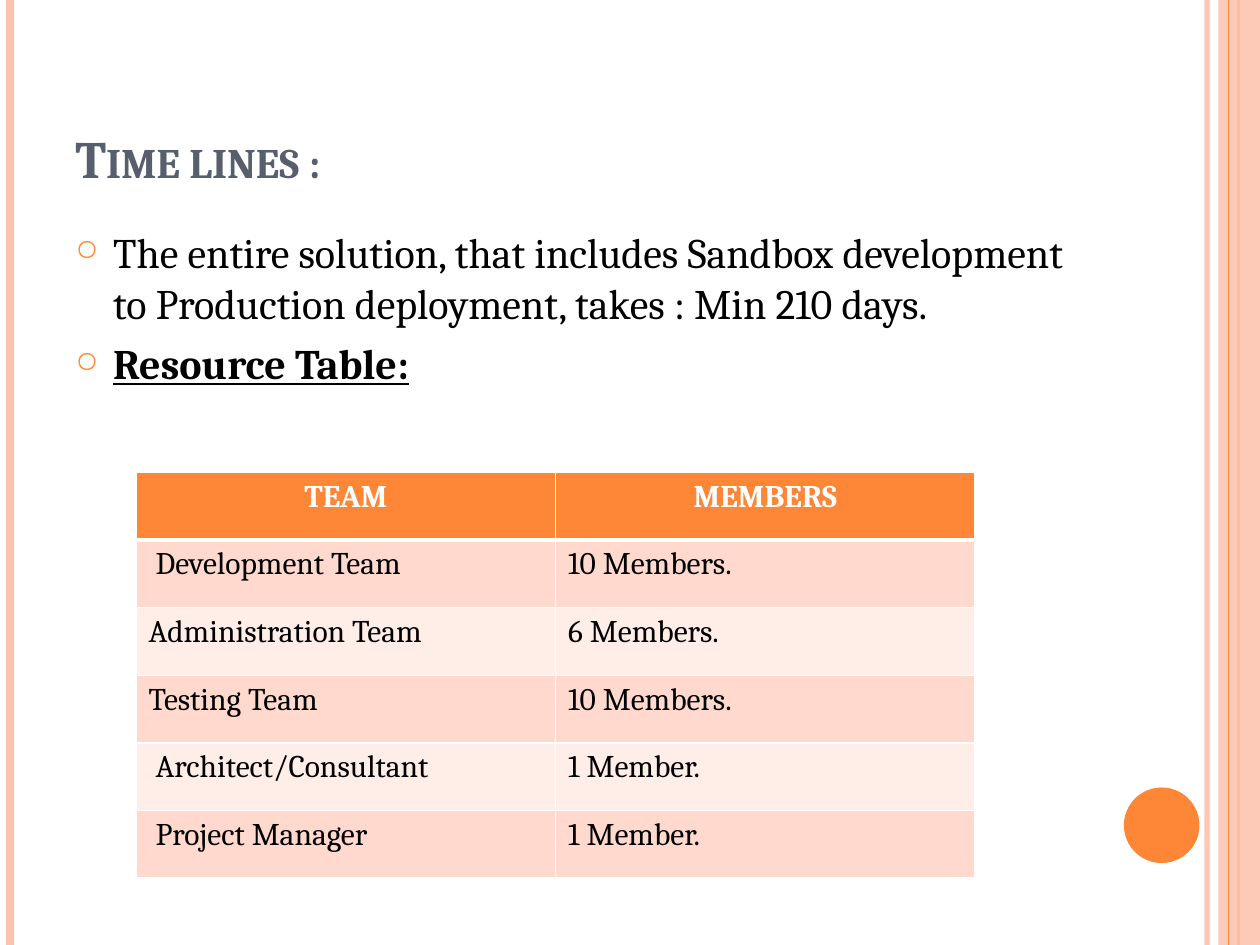
"""Build the time lines slide with its resource table."""
import pptx
import pptx.util
import pptx.dml.color
import pptx.enum.shapes
import pptx.enum.text
import pptx.oxml
import pptx.oxml.ns

Inches, Pt, RGBColor = pptx.util.Inches, pptx.util.Pt, pptx.dml.color.RGBColor
SHAPE = pptx.enum.shapes.MSO_SHAPE
ALIGN = pptx.enum.text.PP_ALIGN
ANCHOR = pptx.enum.text.MSO_ANCHOR

ORANGE = RGBColor(0xFE, 0x86, 0x37)
PEACH = RGBColor(0xFE, 0xC3, 0xAE)
SLATE = RGBColor(0x57, 0x5F, 0x6D)
BLACK = RGBColor(0, 0, 0)
WHITE = RGBColor(0xFF, 0xFF, 0xFF)
ROW_FILLS = (RGBColor(0xFF, 0xD9, 0xCE), RGBColor(0xFF, 0xED, 0xE8))

WIDTH, HEIGHT = 10, 7.5
TITLE = "Time lines :"
BULLETS = [
    ("The entire solution, that includes Sandbox development "
     "to Production deployment, takes : Min 210 days.", {}),
    ("Resource Table:", {"bold": True, "underline": True}),
]
TEAMS = [
    ("TEAM", "MEMBERS"),
    (" Development Team", "10 Members."),
    ("Administration Team", "6 Members."),
    ("Testing Team", "10 Members."),
    (" Architect/Consultant", "1 Member."),
    (" Project Manager", "1 Member."),
]
DECORATION = [
    ("line", 9.58, PEACH, 3, 93),
    ("line", 0.08, PEACH, 4.5, 100),
    ("line", 9.83, ORANGE, 1.5, 100),
    ("shape", (9.67, 0, 0.33, HEIGHT), SHAPE.RECTANGLE, PEACH, 87),
    ("line", 9.75, ORANGE, 0.75, 100),
    ("shape", (8.92, 6.25, 0.6, 0.6), SHAPE.OVAL, ORANGE, 100),
]
TITLE_BOX = (0.5, 0.3, 8.17, 1.25)
BODY_BOX = (0.5, 1.75, 8.17, 5.33)
TABLE_LEFT, TABLE_TOP, COLUMN_WIDTH, ROW_HEIGHT = 1.08, 3.75, 3.33, 0.537


def parse_xml(tag, attributes="", content=""):
    namespace = pptx.oxml.ns.nsdecls("a")
    return pptx.oxml.parse_xml(f"<a:{tag} {namespace} {attributes}>{content}</a:{tag}>")


def set_alpha(element, percent):
    if percent < 100:
        color = next(element.iter(pptx.oxml.ns.qn("a:srgbClr")))
        color.append(parse_xml("alpha", f'val="{percent * 1000}"'))


def add_line(slide, x, color, width, alpha):
    line = slide.shapes.add_connector(
        pptx.enum.shapes.MSO_CONNECTOR.STRAIGHT, Inches(x), 0, Inches(x), Inches(HEIGHT))
    line.line.color.rgb = color
    line.line.width = Pt(width)
    properties = line._element.spPr
    set_alpha(properties, alpha)
    properties.append(parse_xml("effectLst"))


def add_shape(slide, box, kind, color, alpha):
    shape = slide.shapes.add_shape(kind, *map(Inches, box))
    shape.shadow.inherit = False
    shape.fill.solid()
    shape.fill.fore_color.rgb = color
    shape.line.fill.background()
    set_alpha(shape._element.spPr, alpha)


def add_run(paragraph, text, color, size, **formats):
    run = paragraph.add_run()
    run.text = text
    run.font.color.rgb = color
    for name, value in {"name": "Cambria", "size": Pt(size), **formats}.items():
        setattr(run.font, name, value)
    return run


def add_text_frame(slide, box, anchor):
    frame = slide.shapes.add_textbox(*map(Inches, box)).text_frame
    frame.word_wrap = True
    frame.vertical_anchor = anchor
    return frame


def add_bullet(paragraph):
    properties = paragraph._p.get_or_add_pPr()
    for name, value in {"marL": 0.3, "indent": -0.3}.items():
        properties.set(name, str(int(Inches(value))))
    paragraph.space_before = Pt(6)
    properties.append(parse_xml("buClr", content=f'<a:srgbClr val="{ORANGE}"/>'))
    properties.append(parse_xml("buSzPct", 'val="70000"'))
    properties.append(parse_xml("buChar", 'char="○"'))


def format_cell(cell, fill, bottom_width):
    cell.fill.solid()
    cell.fill.fore_color.rgb = fill
    widths = {"lnL": 1, "lnR": 1, "lnT": 1, "lnB": bottom_width}
    for index, (side, width) in enumerate(widths.items()):
        border = parse_xml(side, f'w="{int(Pt(width))}"',
                           f'<a:solidFill><a:srgbClr val="{WHITE}"/></a:solidFill>')
        cell._tc.get_or_add_tcPr().insert(index, border)


def add_team_table(slide):
    rows, columns = len(TEAMS), len(TEAMS[0])
    table = slide.shapes.add_table(
        rows, columns, Inches(TABLE_LEFT), Inches(TABLE_TOP),
        Inches(COLUMN_WIDTH * columns), Inches(ROW_HEIGHT * rows)).table
    for row_index, texts in enumerate(TEAMS):
        header = row_index == 0
        fill = ORANGE if header else ROW_FILLS[(row_index - 1) % 2]
        for column_index, text in enumerate(texts):
            cell = table.cell(row_index, column_index)
            format_cell(cell, fill, 3 if header else 1)
            paragraph = cell.text_frame.paragraphs[0]
            paragraph.alignment = ALIGN.CENTER if header else ALIGN.LEFT
            add_run(paragraph, text, WHITE if header else BLACK, 18, bold=header)


presentation = pptx.Presentation()
presentation.slide_width, presentation.slide_height = Inches(WIDTH), Inches(HEIGHT)
slide = presentation.slides.add_slide(presentation.slide_layouts[6])

for kind, *details in DECORATION:
    {"line": add_line, "shape": add_shape}[kind](slide, *details)

title = add_text_frame(slide, TITLE_BOX, ANCHOR.BOTTOM)
title_run = add_run(title.paragraphs[0], TITLE, SLATE, 30, bold=True)
title_run.font._element.set("cap", "small")

body = add_text_frame(slide, BODY_BOX, ANCHOR.TOP)
for index, (text, formats) in enumerate(BULLETS):
    paragraph = body.add_paragraph() if index else body.paragraphs[0]
    add_bullet(paragraph)
    add_run(paragraph, text, BLACK, 24, **formats)

add_team_table(slide)
presentation.save("out.pptx")
